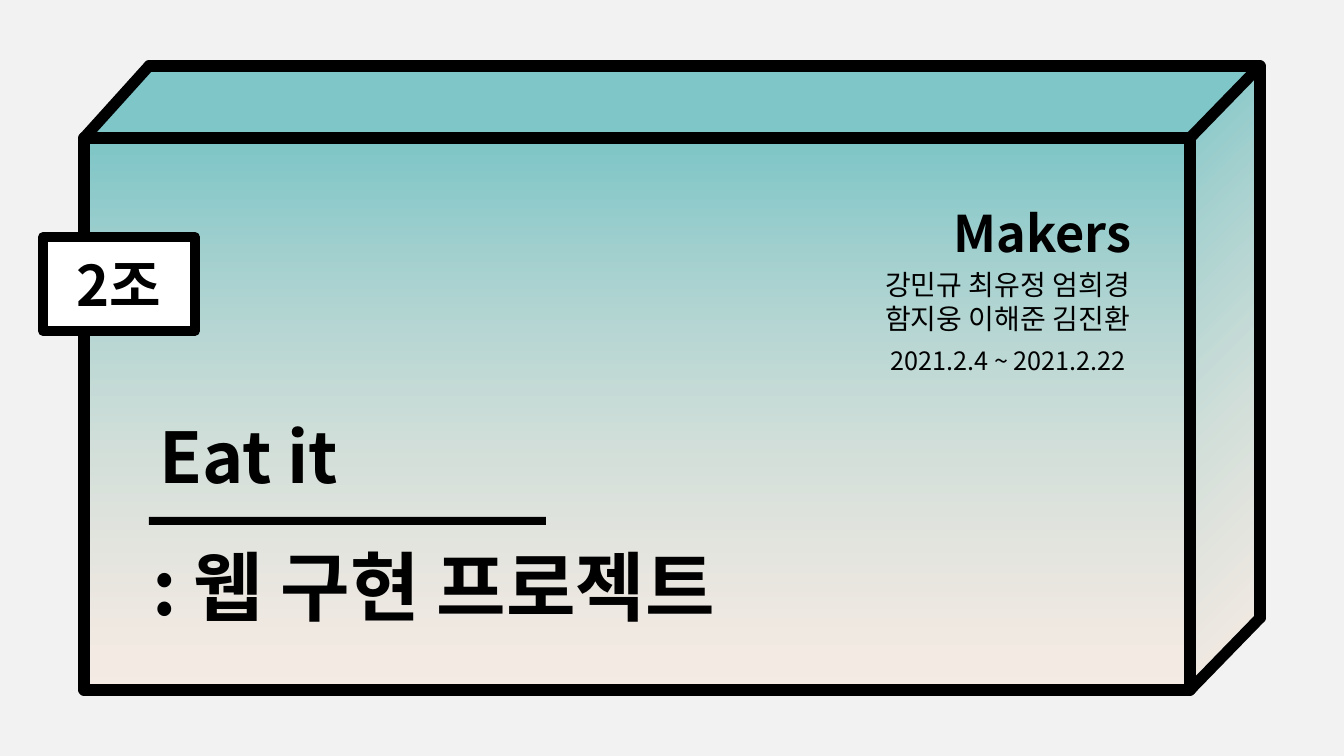
from lxml.etree import SubElement
from pptx import Presentation
from pptx.dml.color import RGBColor
from pptx.enum.shapes import MSO_CONNECTOR, MSO_SHAPE
from pptx.enum.text import MSO_ANCHOR, MSO_AUTO_SIZE, PP_ALIGN
from pptx.oxml.ns import qn
from pptx.util import Pt

PX = 914400 / 100.8
FONT = "Noto Sans CJK KR"
COLORS = {name: RGBColor.from_string(value) for name, value in {
    "backdrop": "F2F2F2", "teal": "7EC6C8", "peach": "FBE5D6",
    "ink": "000000", "label": "FFFFFF"}.items()}


def emu(*lengths):
    return [round(length * PX) for length in lengths]


def write(holder, lines, size, bold, align, anchor=MSO_ANCHOR.TOP):
    frame = holder.text_frame
    for key, value in {"word_wrap": True, "auto_size": MSO_AUTO_SIZE.NONE,
                       "vertical_anchor": anchor}.items():
        setattr(frame, key, value)
    for index, line in enumerate(lines):
        paragraph = frame.add_paragraph() if index else frame.paragraphs[0]
        paragraph.alignment = align
        paragraph.space_before = Pt(0)
        run = paragraph.add_run()
        run.text = line
        for key, value in {"name": FONT, "size": Pt(size), "bold": bold}.items():
            setattr(run.font, key, value)
        run.font.color.rgb = COLORS["ink"]
        SubElement(run.font._element, qn("a:ea"), typeface=FONT)


prs = Presentation()
prs.slide_width, prs.slide_height = emu(1344, 756)
slide = prs.slides.add_slide(prs.slide_layouts[0])
slide.background.fill.solid()
slide.background.fill.fore_color.rgb = COLORS["backdrop"]
shapes = slide.shapes

front_left, front_top, front_right, front_bottom = 84, 138, 1190, 690
back_left, back_top, back_right, back_bottom = 149, 66, 1260, 618
top_left, top_right = (front_left, front_top), (front_right, front_top)
bottom_left, bottom_right = (front_left, front_bottom), (front_right, front_bottom)
rear_left, rear_right = (back_left, back_top), (back_right, back_top)
rear_bottom = (back_right, back_bottom)

faces = [
    ([top_left, rear_left, rear_right, top_right], None),
    ([top_right, rear_right, rear_bottom, bottom_right], 315),
    ([top_left, top_right, bottom_right, bottom_left], 270),
]
for corners, angle in faces:
    outline = shapes.build_freeform(*corners[0], scale=PX)
    outline.add_line_segments(corners[1:], close=True)
    face = outline.convert_to_shape()
    face.shadow.inherit = False
    face.line.fill.background()
    if angle is None:
        face.fill.solid()
        face.fill.fore_color.rgb = COLORS["teal"]
        continue
    face.fill.gradient()
    face.fill.gradient_angle = angle
    for stop, position, color in zip(face.fill.gradient_stops, (0, 1), ("teal", "peach")):
        stop.position = position
        stop.color.rgb = COLORS[color]
    peach = face._element.spPr.findall(".//" + qn("a:srgbClr"))[-1]
    SubElement(peach, qn("a:alpha"), val="46000")

edges = [
    (rear_left, top_left), (rear_right, rear_left), (top_right, top_left),
    (bottom_left, top_left), (bottom_right, bottom_left), (bottom_right, top_right),
    (rear_right, top_right), (rear_bottom, bottom_right), (rear_bottom, rear_right),
]
for start, end in edges:
    edge = shapes.add_connector(MSO_CONNECTOR.STRAIGHT, *emu(*start, *end))
    edge.line.color.rgb = COLORS["ink"]
    edge.line.width = Pt(8)
    edge.line._ln.set("cap", "rnd")
    SubElement(edge._element.spPr, qn("a:effectLst"))

team_label = shapes.add_shape(MSO_SHAPE.RECTANGLE, *emu(43, 237, 152, 94))
underline = shapes.add_shape(MSO_SHAPE.RECTANGLE, *emu(149, 517, 397, 8))
for block, color in ((team_label, "label"), (underline, "ink")):
    block.shadow.inherit = False
    block.fill.solid()
    block.fill.fore_color.rgb = COLORS[color]
team_label.line.color.rgb = COLORS["ink"]
team_label.line.width = Pt(7)
underline.line.fill.background()
write(team_label, ["2조"], 40, True, PP_ALIGN.CENTER, MSO_ANCHOR.MIDDLE)

project, description = slide.placeholders
headings = [
    (project, "Eat it", 50, (149, 408, 246, 95)),
    (description, ": 웹 구현 프로젝트", 54, (142, 535, 735, 102)),
]
for heading, wording, size, box in headings:
    for key, value in zip(("left", "top", "width", "height"), emu(*box)):
        setattr(heading, key, value)
    shapes._spTree.append(heading._element)
    write(heading, [wording], size, True, PP_ALIGN.LEFT)

credits = [
    (["Makers"], 36, True, (826, 197, 315, 71)),
    (["강민규 최유정 엄희경", "함지웅 이해준 김진환"], 20, False, (825, 263, 315, 78)),
    (["2021.2.4 ~ 2021.2.22"], 18, False, (857, 340, 279, 40)),
]
for lines, size, bold, box in credits:
    write(shapes.add_textbox(*emu(*box)), lines, size, bold, PP_ALIGN.RIGHT)

prs.save("out.pptx")
